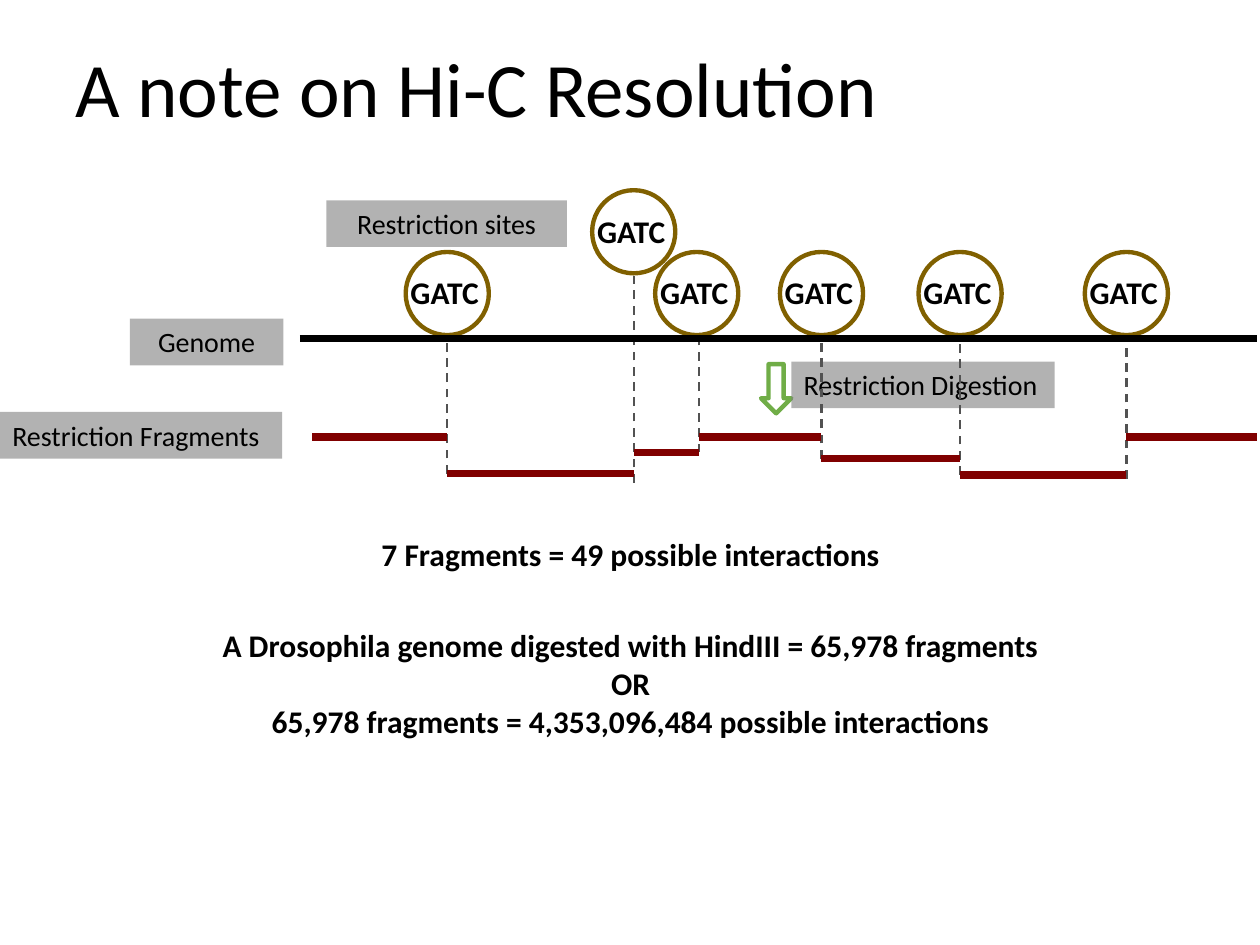
from pptx import Presentation
from pptx.dml.color import RGBColor
from pptx.enum.dml import MSO_LINE
from pptx.enum.shapes import MSO_CONNECTOR, MSO_SHAPE
from pptx.enum.text import MSO_ANCHOR, PP_ALIGN
from pptx.oxml.ns import qn
from pptx.util import Inches, Pt
from lxml.etree import SubElement

BLACK = RGBColor(0x00, 0x00, 0x00)
GRAY = RGBColor(0x80, 0x80, 0x80)
DASH_GRAY = RGBColor(0x52, 0x52, 0x52)
MAROON = RGBColor(0x80, 0x00, 0x00)
OLIVE = RGBColor(0x80, 0x60, 0x00)
GREEN = RGBColor(0x70, 0xAD, 0x47)

GENOME_Y = 2.69
RIGHT_END = 9.98
CIRCLE = 0.66


def set_text(shape, *lines, size=18, bold=False, align=PP_ALIGN.LEFT, anchor=MSO_ANCHOR.TOP):
    tf = shape.text_frame
    tf.word_wrap = True
    tf.vertical_anchor = anchor
    tf.text = "\n".join(lines)
    for p in tf.paragraphs:
        p.alignment = align
        p.font.name = "Calibri"
        p.font.size = Pt(size)
        p.font.bold = bold
        p.font.color.rgb = BLACK


def add_line(x1, y1, x2, y2, color, width, dash=None):
    line = s.shapes.add_connector(
        MSO_CONNECTOR.STRAIGHT, Inches(x1), Inches(y1), Inches(x2), Inches(y2))
    line.line.color.rgb = color
    line.line.width = Pt(width)
    if dash:
        line.line.dash_style = dash
    SubElement(line._element.spPr, qn("a:effectLst"))


prs = Presentation()
prs.slide_width, prs.slide_height = Inches(10), Inches(7.5)
s = prs.slides.add_slide(prs.slide_layouts[5])

title = s.shapes.title
title.left, title.top = Inches(0.5), Inches(0.11)
title.width, title.height = Inches(9), Inches(1.25)
set_text(title, "A note on Hi-C Resolution", size=44, anchor=MSO_ANCHOR.MIDDLE)
title.text_frame.paragraphs[0].line_spacing = 0.9

arrow = s.shapes.add_shape(
    MSO_SHAPE.DOWN_ARROW, Inches(6.04), Inches(2.89), Inches(0.24), Inches(0.39))
arrow.shadow.inherit = False
arrow.fill.background()
arrow.line.color.rgb = GREEN
arrow.line.width = Pt(2.5)

# Gray labels: text, left, top, width, alignment
labels = [
    ("Restriction Digestion", 6.28, 2.87, 2.09, PP_ALIGN.LEFT),
    ("Restriction Fragments", 0, 3.27, 2.24, PP_ALIGN.LEFT),
    ("Restriction sites", 2.59, 1.59, 1.91, PP_ALIGN.CENTER),
    ("Genome", 1.03, 2.53, 1.22, PP_ALIGN.CENTER),
]
for text, left, top, width, align in labels:
    label = s.shapes.add_shape(
        MSO_SHAPE.RECTANGLE, Inches(left), Inches(top), Inches(width), Inches(0.37))
    label.shadow.inherit = False
    label.fill.solid()
    label.fill.fore_color.rgb = GRAY
    color = label._element.spPr.find(qn("a:solidFill"))[0]
    SubElement(color, qn("a:alpha"), val="60000")
    label.line.fill.background()
    set_text(label, text, size=16, align=align)

# Restriction sites: cut x, circle center x, circle top, dash start, dash end
sites = [
    (3.55, 3.55, 2, GENOME_Y, 3.76),
    (5.03, 5.03, 1.51, 2.19, 3.83),
    (5.55, 5.53, 2, GENOME_Y, 3.59),
    (6.52, 6.52, 2, GENOME_Y, 3.64),
    (7.62, 7.62, 2, GENOME_Y, 3.77),
    (8.94, 8.94, 2, GENOME_Y, 3.8),
]
for cut, _, _, start, end in sites:
    add_line(cut, end, cut, start, DASH_GRAY, 1.25, MSO_LINE.DASH)

# Each fragment runs from one cut to the next
cuts = [2.48] + [site[0] for site in sites] + [RIGHT_END]
levels = [3.47, 3.76, 3.59, 3.47, 3.64, 3.77, 3.47]
for x1, x2, y in zip(cuts, cuts[1:], levels):
    add_line(x1, y, x2, y, MAROON, 4.25)

for _, center, top, _, _ in sites:
    box = s.shapes.add_textbox(
        Inches(center - 0.39), Inches(top + 0.12), Inches(0.77), Inches(0.42))
    set_text(box, "GATC", bold=True)
    circle = s.shapes.add_shape(
        MSO_SHAPE.OVAL, Inches(center - CIRCLE / 2), Inches(top), Inches(CIRCLE), Inches(CIRCLE))
    circle.shadow.inherit = False
    circle.fill.background()
    circle.line.color.rgb = OLIVE
    circle.line.width = Pt(2.5)

add_line(2.38, GENOME_Y, RIGHT_END, GENOME_Y, BLACK, 4)

notes = [
    (4.2, 0.4, ["7 Fragments = 49 possible interactions"]),
    (4.92, 1.01, ["A Drosophila genome digested with HindIII = 65,978 fragments",
                  "OR",
                  "65,978 fragments = 4,353,096,484 possible interactions"]),
]
for top, height, lines in notes:
    box = s.shapes.add_textbox(Inches(1.64), Inches(top), Inches(6.73), Inches(height))
    set_text(box, *lines, bold=True, align=PP_ALIGN.CENTER)

prs.save("out.pptx")
